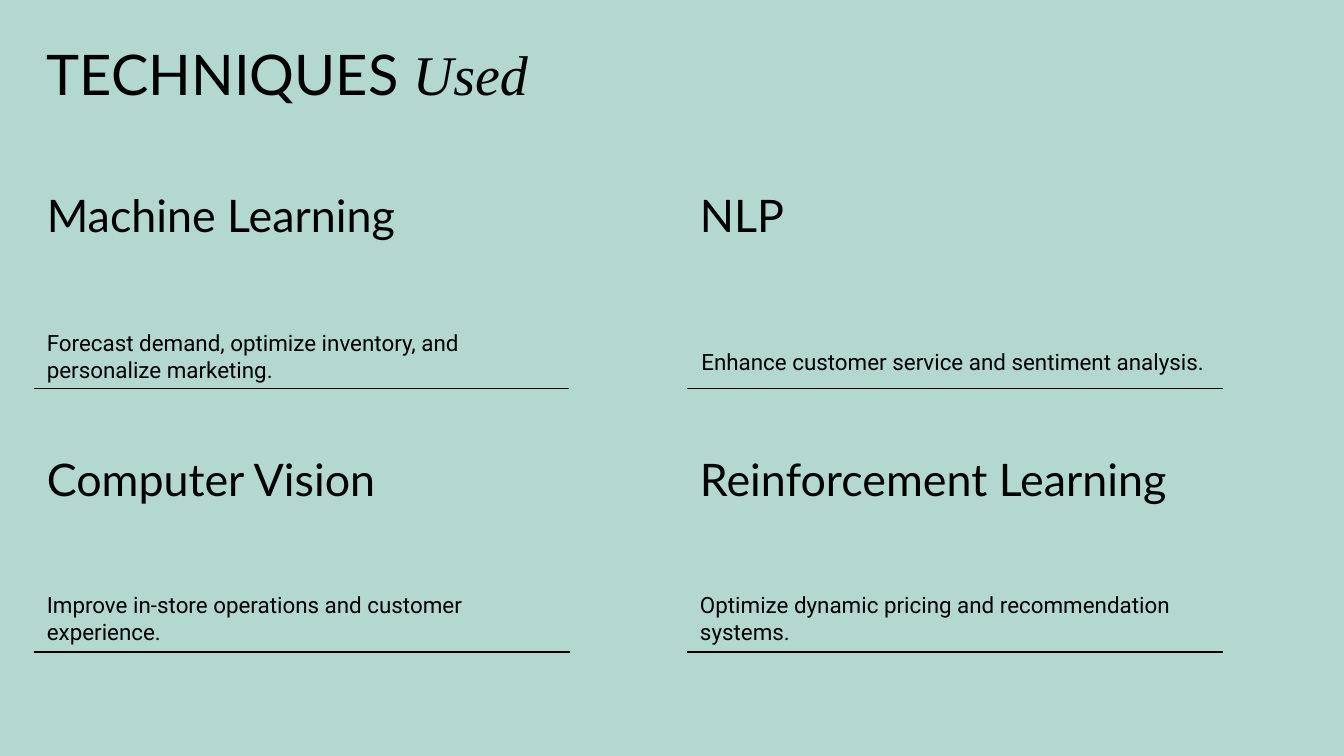
from typing import NamedTuple

from lxml.etree import SubElement
from pptx import Presentation
from pptx.dml.color import RGBColor
from pptx.enum.shapes import MSO_CONNECTOR
from pptx.enum.text import MSO_ANCHOR
from pptx.oxml.ns import qn
from pptx.slide import Slide
from pptx.util import Inches, Pt

INK = "000000"
MINT = "B2D8D0"
LEFT, RIGHT = 0.25, 5.11
TOP, LOW = 1.4, 3.36
WIDE = 3.99


class Run(NamedTuple):
    text: str
    font: str
    size: float
    italic: bool = False


class Card(NamedTuple):
    left: float
    top: float
    head: str
    body: str
    dx: float = 0
    drop: float = 0.94  # from card top to body text
    rule: float = WIDE


CARDS = [
    Card(LEFT, TOP, "Machine Learning",
         "Forecast demand, optimize inventory, and personalize marketing.",
         drop=0.95, rule=3.98),
    Card(RIGHT, TOP, "NLP",
         "Enhance customer service and sentiment analysis.",
         dx=0.01, drop=1.09),
    Card(LEFT, LOW, "Computer Vision",
         "Improve in-store operations and customer experience."),
    Card(RIGHT, LOW, "Reinforcement Learning",
         "Optimize dynamic pricing and recommendation systems."),
]


def paint(color, code: str) -> None:
    color.rgb = RGBColor.from_string(code)


def add_text(slide: Slide, left: float, top: float, width: float,
             height: float, runs: list[Run],
             anchor: MSO_ANCHOR = MSO_ANCHOR.TOP,
             spacing: float = 1.0) -> None:
    box = slide.shapes.add_textbox(
        Inches(left), Inches(top), Inches(width), Inches(height))
    frame = box.text_frame
    frame.word_wrap = True
    frame.vertical_anchor = anchor
    frame.margin_left = frame.margin_right = Inches(0.1)
    frame.margin_top = frame.margin_bottom = Inches(0.1)
    para = frame.paragraphs[0]
    para.line_spacing = spacing
    for item in runs:
        run = para.add_run()
        run.text = item.text
        run.font.name = item.font
        run.font.size = Pt(item.size)
        run.font.italic = item.italic
        paint(run.font.color, INK)


def add_rule(slide: Slide, left: float, top: float, width: float) -> None:
    rule = slide.shapes.add_connector(
        MSO_CONNECTOR.STRAIGHT, Inches(left), Inches(top),
        Inches(left + width), Inches(top))
    rule.line.width = Pt(0.75)
    paint(rule.line.color, INK)
    SubElement(rule._element.spPr, qn("a:effectLst"))


def add_card(slide: Slide, card: Card) -> None:
    add_text(slide, card.left, card.top, WIDE, 0.5,
             [Run(card.head, "Lato", 24)], MSO_ANCHOR.BOTTOM)
    add_text(slide, card.left + card.dx, card.top + card.drop, WIDE, 0.63,
             [Run(card.body, "Roboto", 12)])
    add_rule(slide, card.left, card.top + 1.49, card.rule)


def main() -> None:
    deck = Presentation()
    deck.slide_width = Inches(10)
    deck.slide_height = Inches(10 * 9 / 16)  # widescreen
    slide = deck.slides.add_slide(deck.slide_layouts[6])

    # Background
    fill = slide.background.fill
    fill.solid()
    paint(fill.fore_color, MINT)

    # Title
    add_text(slide, LEFT, 0.25, 9.5, 0.63,
             [Run("TECHNIQUES ", "Lato", 30),
              Run("Used", "Times New Roman", 30, True)], spacing=0.9)

    # Technique cards
    for card in CARDS:
        add_card(slide, card)

    deck.save("out.pptx")


if __name__ == "__main__":
    main()
